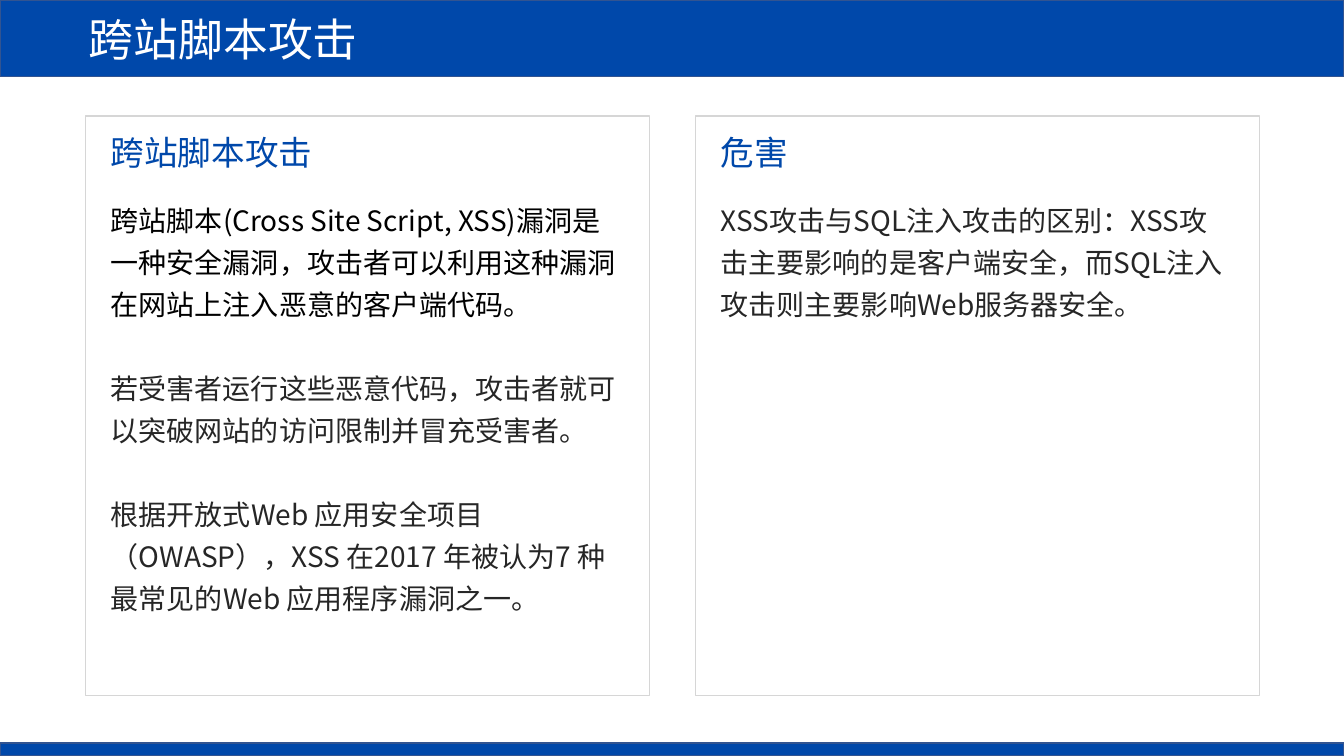
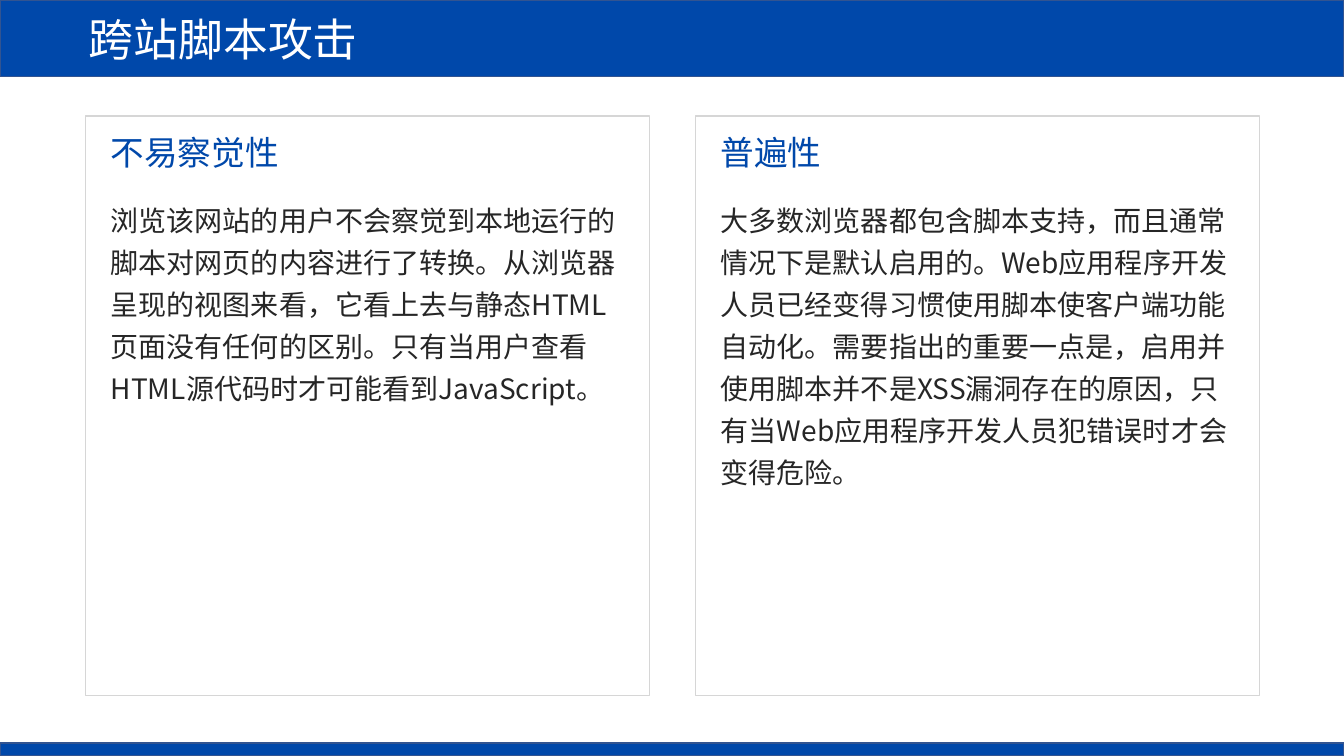
from lxml.etree import SubElement
from pptx import Presentation
from pptx.dml.color import RGBColor
from pptx.enum.shapes import MSO_SHAPE
from pptx.enum.text import MSO_ANCHOR, MSO_AUTO_SIZE, PP_ALIGN
from pptx.oxml.ns import qn
from pptx.util import Inches, Pt

# Shared style
FONT = "Noto Sans CJK SC"
BLUE, BAND_EDGE, PANEL_EDGE = "0048AA", "325491", "D6D6D6"
WHITE, BLACK, DARK = "FFFFFF", "000000", "262626"
TITLE_SIZE, HEADING_SIZE, BODY_SIZE = 32, 24, 20

# Shared grid, in inches
SLIDE_WIDTH, SLIDE_HEIGHT = 13.33, 7.5
TITLE_HEIGHT, FOOTER_HEIGHT = 0.76, 0.13
PANEL_LEFT, PANEL_TOP, PANEL_WIDTH, PANEL_HEIGHT = 0.85, 1.15, 5.59, 5.75
PANEL_GAP = 0.46

TITLE = "跨站脚本攻击"
# Each slide is a list of panels: heading, then (text, colour) paragraphs
SLIDES = [
    [
        ("跨站脚本攻击", [
            ("跨站脚本(Cross Site Script, XSS)漏洞是一种安全漏洞，攻击者可以利用"
             "这种漏洞在网站上注入恶意的客户端代码。", BLACK),
            ("若受害者运行这些恶意代码，攻击者就可以突破网站的访问限制并冒充受害者。", DARK),
            ("根据开放式Web 应用安全项目（OWASP），XSS 在2017 年被认为7 种最常见的"
             "Web 应用程序漏洞之一。", DARK),
        ]),
        ("危害", [
            ("XSS攻击与SQL注入攻击的区别：XSS攻击主要影响的是客户端安全，"
             "而SQL注入攻击则主要影响Web服务器安全。", DARK),
        ]),
    ],
    [
        ("不易察觉性", [
            ("浏览该网站的用户不会察觉到本地运行的脚本对网页的内容进行了转换。"
             "从浏览器呈现的视图来看，它看上去与静态HTML页面没有任何的区别。"
             "只有当用户查看HTML源代码时才可能看到JavaScript。", DARK),
        ]),
        ("普遍性", [
            ("大多数浏览器都包含脚本支持，而且通常情况下是默认启用的。"
             "Web应用程序开发人员已经变得习惯使用脚本使客户端功能自动化。"
             "需要指出的重要一点是，启用并使用脚本并不是XSS漏洞存在的原因，"
             "只有当Web应用程序开发人员犯错误时才会变得危险。", DARK),
        ]),
    ],
]


def color(value):
    return RGBColor.from_string(value)


def add_run(paragraph, text, size, text_color):
    run = paragraph.add_run()
    run.text = text
    run.font.size = Pt(size)
    run.font.name = FONT
    run.font.color.rgb = color(text_color)
    # East Asian characters need their own typeface entry
    SubElement(run.font._element, qn("a:ea"), typeface=FONT)


def paint(shape, fill, edge):
    if fill:
        shape.fill.solid()
        shape.fill.fore_color.rgb = color(fill)
    else:
        shape.fill.background()
    shape.line.color.rgb = color(edge)
    shape.line.width = Pt(1)


def add_rectangle(slide, left, top, width, height, fill, edge):
    box = [Inches(length) for length in (left, top, width, height)]
    shape = slide.shapes.add_shape(MSO_SHAPE.RECTANGLE, *box)
    shape.shadow.inherit = False
    paint(shape, fill, edge)


def add_text(slide, left, top, width, height, paragraphs, size, line_spacing=1.0):
    box = [Inches(length) for length in (left, top, width, height)]
    frame = slide.shapes.add_textbox(*box).text_frame
    frame.word_wrap = True
    for index, (text, text_color) in enumerate(paragraphs):
        paragraph = frame.add_paragraph() if index else frame.paragraphs[0]
        paragraph.line_spacing = line_spacing
        if index:
            paragraph.space_before = Pt(1.5 * size)
        add_run(paragraph, text, size, text_color)


def add_title_band(slide, text):
    title = slide.shapes.title
    title.left, title.top = Inches(0), Inches(0)
    title.width, title.height = Inches(SLIDE_WIDTH), Inches(TITLE_HEIGHT)
    paint(title, BLUE, BAND_EDGE)
    frame = title.text_frame
    frame.auto_size = MSO_AUTO_SIZE.NONE
    frame.vertical_anchor = MSO_ANCHOR.MIDDLE
    frame.margin_left = Inches(0.88)
    paragraph = frame.paragraphs[0]
    paragraph.alignment = PP_ALIGN.LEFT
    add_run(paragraph, text, TITLE_SIZE, WHITE)


def add_footer_band(slide):
    add_rectangle(slide, 0, SLIDE_HEIGHT - FOOTER_HEIGHT, SLIDE_WIDTH, FOOTER_HEIGHT,
                  BLUE, BAND_EDGE)


def add_panel(slide, left, top, width, height, heading, paragraphs):
    add_rectangle(slide, left, top, width, height, None, PANEL_EDGE)
    inner_left, inner_width = left + 0.15, width - 0.31
    add_text(slide, inner_left, top + 0.11, inner_width, 0.5,
             [(heading, BLUE)], HEADING_SIZE)
    add_text(slide, inner_left, top + 0.74, inner_width, height - 1.06,
             paragraphs, BODY_SIZE, 1.25)


def add_panel_slide(presentation, panels):
    slide = presentation.slides.add_slide(presentation.slide_layouts[5])
    add_title_band(slide, TITLE)
    add_footer_band(slide)
    for column, (heading, paragraphs) in enumerate(panels):
        left = PANEL_LEFT + column * (PANEL_WIDTH + PANEL_GAP)
        add_panel(slide, left, PANEL_TOP, PANEL_WIDTH, PANEL_HEIGHT, heading, paragraphs)


def main():
    presentation = Presentation()
    presentation.slide_width = Inches(SLIDE_WIDTH)
    presentation.slide_height = Inches(SLIDE_HEIGHT)
    for panels in SLIDES:
        add_panel_slide(presentation, panels)
    presentation.save("out.pptx")


if __name__ == "__main__":
    main()
